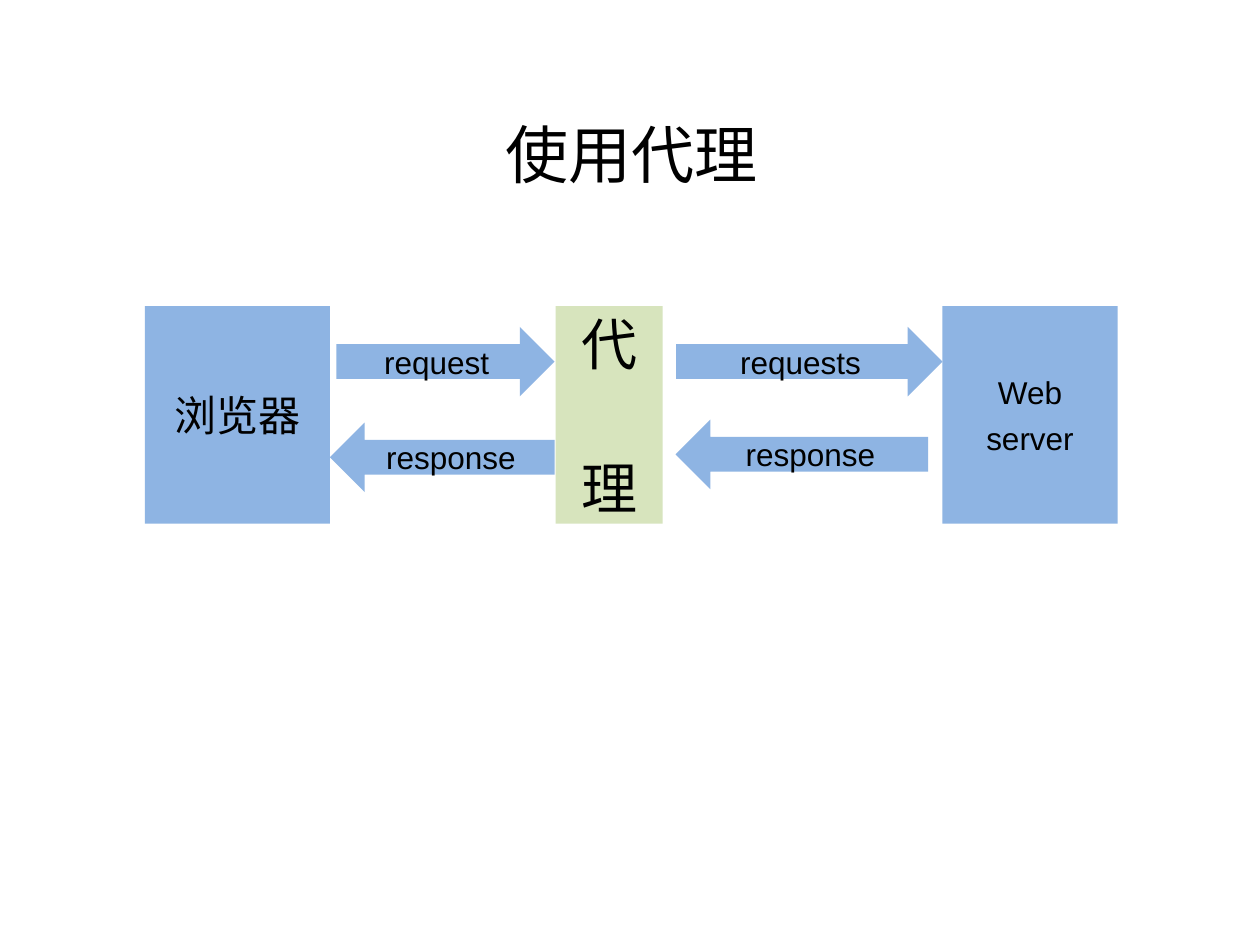
from lxml import etree
from pptx import Presentation
from pptx.dml.color import RGBColor
from pptx.enum.shapes import MSO_SHAPE
from pptx.enum.text import MSO_ANCHOR, PP_ALIGN
from pptx.oxml.ns import qn
from pptx.util import Cm, Pt

RECTANGLE = MSO_SHAPE.RECTANGLE
RIGHT = MSO_SHAPE.RIGHT_ARROW
LEFT = MSO_SHAPE.LEFT_ARROW
MIDDLE = MSO_ANCHOR.MIDDLE
BOTTOM = MSO_ANCHOR.BOTTOM
CENTER = PP_ALIGN.CENTER

COLORS = {"blue": "8EB4E3", "green": "D7E4BD", "text": "000000"}
LATIN_FONT = "Arial"
CJK_FONT = "Noto Sans CJK JP"


def write_text(frame, text, size=18, font=LATIN_FONT, anchor=MIDDLE, gap=0):
    frame.word_wrap = True
    frame.vertical_anchor = anchor
    frame.margin_left = frame.margin_right = Cm(0.1)
    frame.margin_top = frame.margin_bottom = 0
    for index, line in enumerate(text.split("\n")):
        paragraph = frame.paragraphs[0] if index == 0 else frame.add_paragraph()
        paragraph.alignment = CENTER
        if index:
            paragraph.space_before = Pt(gap)
        run = paragraph.add_run()
        run.text = line
        run.font.size = Pt(size)
        run.font.name = font
        run.font.color.rgb = RGBColor.from_string(COLORS["text"])
        east_asian = etree.SubElement(run.font._element, qn("a:ea"))
        east_asian.set("typeface", CJK_FONT)


prs = Presentation()
prs.slide_width = Cm(25.4)
prs.slide_height = Cm(19.05)
slide = prs.slides.add_slide(prs.slide_layouts[6])

title = slide.shapes.add_textbox(Cm(1.3), Cm(2.18), Cm(22.86), Cm(1.68))
write_text(title.text_frame, "使用代理", size=36, font=CJK_FONT, anchor=BOTTOM)

NODE_TOP, NODE_HEIGHT = 6.17, 4.39
ARROW_HEIGHT = 1.4
REQUEST_TOP = 6.59

parts = [
    (RECTANGLE, 2.92, NODE_TOP, 3.73, NODE_HEIGHT, "blue", "浏览器", 24, 0),
    (RECTANGLE, 19.0, NODE_TOP, 3.53, NODE_HEIGHT, "blue", "Web\nserver", 18, 4.4),
    (RIGHT, 6.78, REQUEST_TOP, 4.4, ARROW_HEIGHT, "blue", "request", 18, 0),
    (RECTANGLE, 11.2, NODE_TOP, 2.16, NODE_HEIGHT, "green", "代\n理", 32, 44),
    (RIGHT, 13.63, REQUEST_TOP, 5.37, ARROW_HEIGHT, "blue", "requests", 18, 0),
    (LEFT, 6.65, 8.52, 4.53, ARROW_HEIGHT, "blue", "response", 18, 0),
    (LEFT, 13.62, 8.46, 5.09, ARROW_HEIGHT, "blue", "response", 18, 0),
]

for kind, left, top, width, height, color, label, size, gap in parts:
    part = slide.shapes.add_shape(kind, Cm(left), Cm(top), Cm(width), Cm(height))
    part.shadow.inherit = False
    part.fill.solid()
    part.fill.fore_color.rgb = RGBColor.from_string(COLORS[color])
    part.line.fill.background()
    write_text(part.text_frame, label, size=size, gap=gap)

prs.save("out.pptx")
